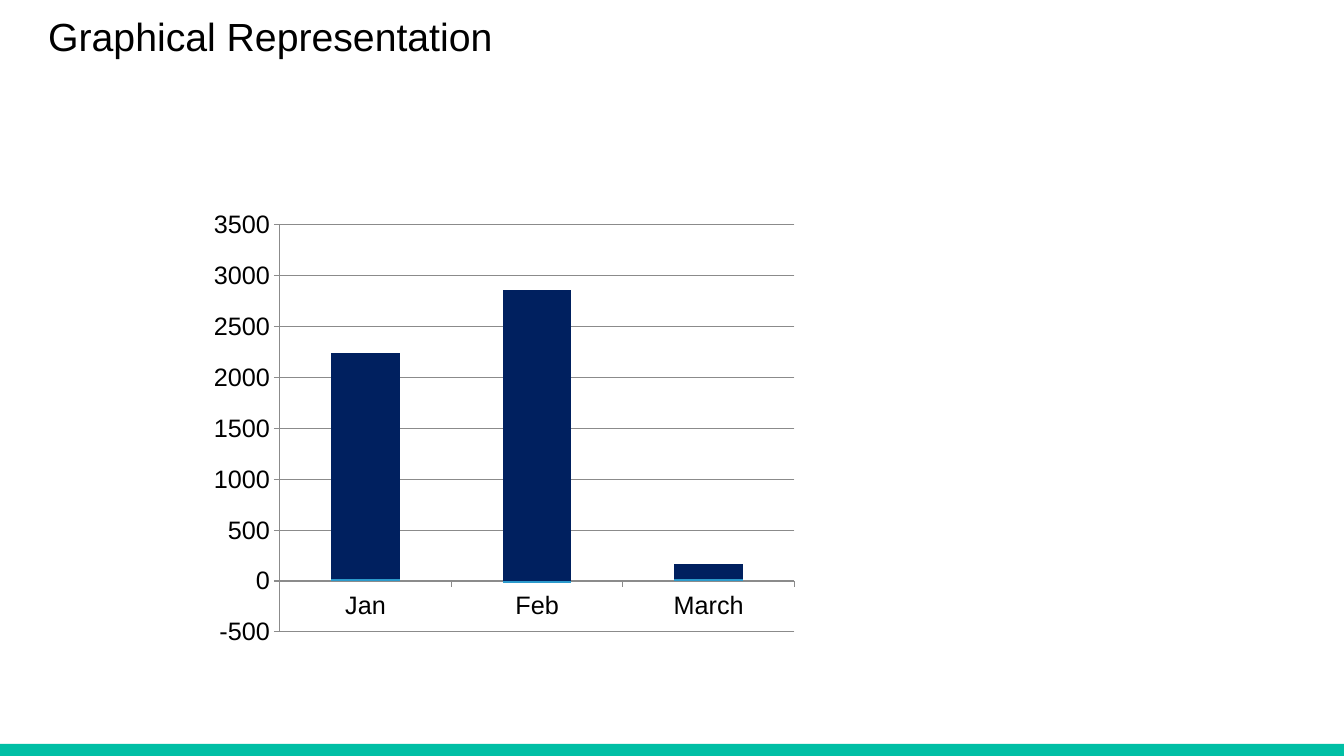
from dataclasses import dataclass

from pptx import Presentation
from pptx import util as u
from pptx.chart.data import CategoryChartData
from pptx.dml.color import RGBColor
from pptx.enum import chart as charts, shapes, text

BLACK = RGBColor(0x00, 0x00, 0x00)
TEAL = RGBColor(0x00, 0xBF, 0xA5)
BLUE = RGBColor(0x2C, 0x9A, 0xCC)
NAVY = RGBColor(0x00, 0x20, 0x5F)
GRAY = RGBColor(0x8B, 0x8B, 0x8B)
FONT = "Arial"
MONTHS = ["Jan", "Feb", "March"]


@dataclass(frozen=True)
class MonthlySeries:
    name: str
    values: tuple[int, ...]
    color: RGBColor


MONTHLY = [
    MonthlySeries("Series 1", (20, -20, 20), BLUE),
    MonthlySeries("Series 2", (2220, 2860, 150), NAVY),
]


def style_font(font, size: float, color: RGBColor) -> None:
    font.name = FONT
    font.size = u.Pt(size)
    font.bold = False
    font.color.rgb = color


def add_text(slide, content: str, *, left: float, top: float, width: float,
             height: float, size: float, color: RGBColor = BLACK,
             line_spacing: float = 1.0) -> None:
    frame = slide.shapes.add_textbox(
        u.Inches(left), u.Inches(top), u.Inches(width), u.Inches(height)
    ).text_frame
    frame.word_wrap = True
    frame.vertical_anchor = text.MSO_ANCHOR.MIDDLE
    paragraph = frame.paragraphs[0]
    paragraph.line_spacing = line_spacing
    run = paragraph.add_run()
    run.text = content
    style_font(run.font, size, color)


def add_footer_band(slide) -> None:
    band = slide.shapes.add_shape(
        shapes.MSO_SHAPE.RECTANGLE,
        u.Inches(0), u.Inches(7.38), u.Inches(13.33), u.Inches(0.12))
    band.shadow.inherit = False
    band.fill.solid()
    band.fill.fore_color.rgb = TEAL
    band.line.fill.background()


def add_monthly_chart(slide) -> None:
    data = CategoryChartData()
    data.categories = MONTHS
    for series in MONTHLY:
        data.add_series(series.name, series.values)
    chart = slide.shapes.add_chart(
        charts.XL_CHART_TYPE.COLUMN_STACKED,
        u.Inches(2), u.Inches(2), u.Inches(6), u.Inches(4.5), data).chart
    chart.has_title = False
    chart.has_legend = False
    style_font(chart.font, 18, BLACK)

    plot = chart.plots[0]
    plot.vary_by_categories = False
    plot.gap_width = 150
    plot.overlap = 100
    for bars, series in zip(plot.series, MONTHLY):
        bars.invert_if_negative = False
        bars.format.fill.solid()
        bars.format.fill.fore_color.rgb = series.color

    for axis in (chart.category_axis, chart.value_axis):
        axis.major_tick_mark = charts.XL_TICK_MARK.OUTSIDE
        axis.minor_tick_mark = charts.XL_TICK_MARK.NONE
        axis.format.line.color.rgb = GRAY
        axis.format.line.width = u.Pt(0.75)
    chart.value_axis.has_major_gridlines = True
    gridlines = chart.value_axis.major_gridlines.format.line
    gridlines.color.rgb = GRAY
    gridlines.width = u.Pt(0.75)


def main() -> None:
    deck = Presentation()
    deck.slide_width = u.Inches(13.33)
    deck.slide_height = u.Inches(7.5)
    slide = deck.slides.add_slide(deck.slide_layouts[6])
    add_footer_band(slide)
    add_text(slide, "Graphical Representation", left=0.38, top=0.18,
             width=12.58, height=0.41, size=28, line_spacing=0.9)
    add_monthly_chart(slide)
    deck.save("out.pptx")


if __name__ == "__main__":
    main()
